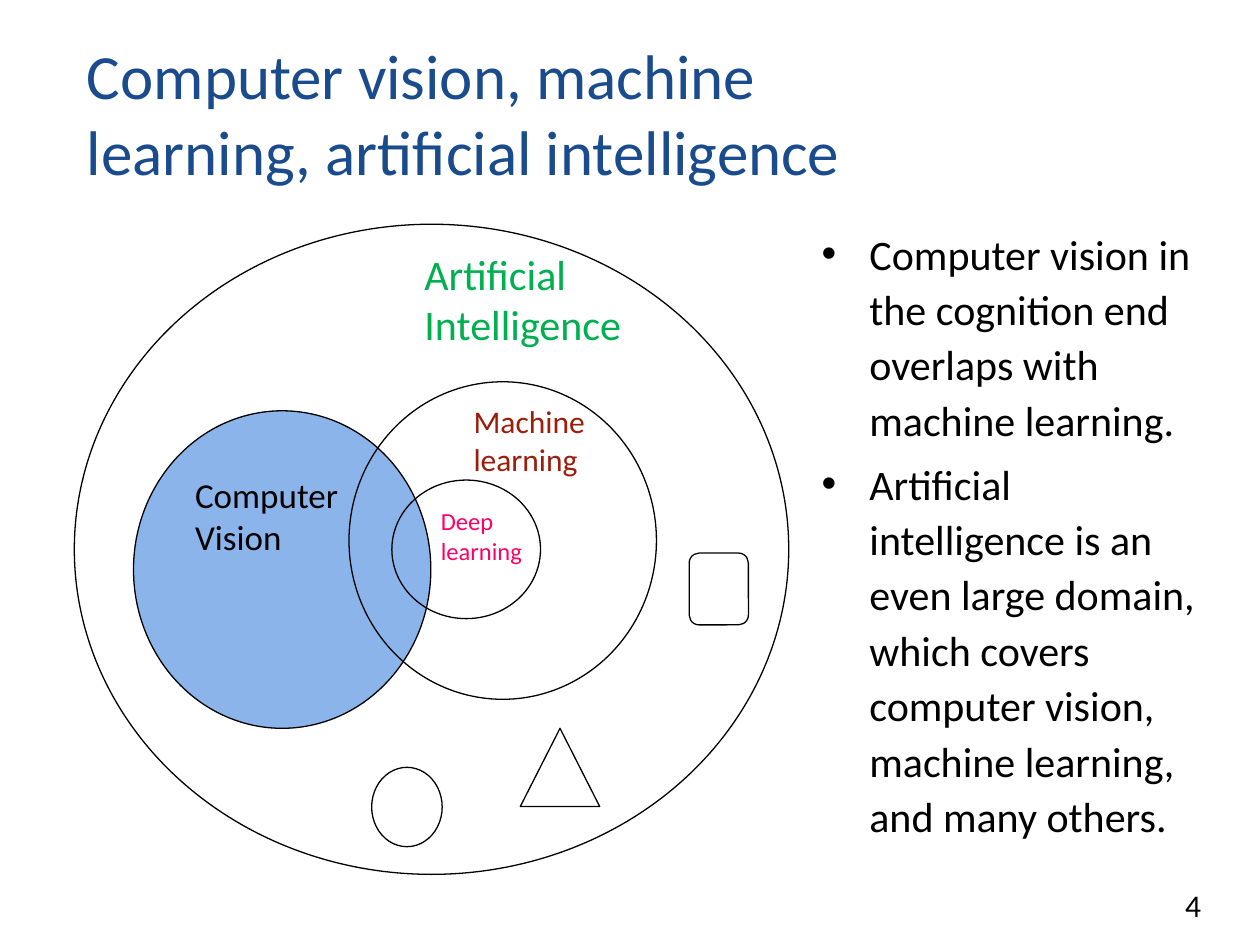
from lxml.etree import SubElement
from pptx import Presentation
from pptx.dml.color import RGBColor
from pptx.enum.shapes import MSO_SHAPE
from pptx.enum.text import MSO_ANCHOR, MSO_AUTO_SIZE, PP_ALIGN
from pptx.oxml.ns import qn
from pptx.util import Inches, Pt

# Boxes are (left, top, width, height) in percent of the slide's size.
TITLE = ("Computer vision, machine learning, artificial intelligence",
         (5.9, 3.87, 65.4, 16.67))
BULLETS = [
    "Computer vision in the cognition end overlaps with machine learning.",
    "Artificial intelligence is an even large domain, which covers "
    "computer vision, machine learning, and many others.",
]
BULLETS_BOX = (64.2, 22.93, 33.1, 66.27)
PAGE_NUMBER = ("4", (88.9, 93.07, 7.4, 6.93))

FIELDS = [  # outline, box, fill
    (MSO_SHAPE.OVAL, (10.6, 43.47, 23.6, 33.6), "vision_fill"),
    (MSO_SHAPE.OVAL, (27.7, 40.4, 24.4, 33.6), None),
    (MSO_SHAPE.OVAL, (31.1, 50.8, 11.8, 14.67), None),
    (MSO_SHAPE.OVAL, (5.9, 23.73, 56.7, 68.8), None),
    (MSO_SHAPE.OVAL, (29.5, 81.2, 5.6, 8.4), None),
    (MSO_SHAPE.ISOSCELES_TRIANGLE, (41.3, 77.07, 6.3, 8.27), None),
    (MSO_SHAPE.ROUNDED_RECTANGLE, (54.7, 58.53, 4.7, 7.6), None),
]
LABELS = [  # text, box, style
    ("Computer Vision", (14.5, 49.47, 15, 10.27), "vision"),
    ("Machine learning", (36.6, 41.87, 11.8, 9.47), "machine"),
    ("Deep learning", (34, 52.93, 11.8, 7.6), "deep"),
    ("Artificial Intelligence", (32.7, 25.6, 26.8, 12.13), "artificial"),
]

THEME = {
    "font": "Calibri",
    "line": "000000",
    "line_width": 0.75,
    "vision_fill": "8AB4EA",
    "text": {  # size, colour
        "title": (36, "194B8D"),
        "body": (24, "000000"),
        "number": (18, "000000"),
        "vision": (20, "000000"),
        "machine": (18, "9B1D0A"),
        "deep": (14, "FF0066"),
        "artificial": (24, "00B050"),
    },
}
WIDTH, HEIGHT = Inches(10), Inches(7.5)
BULLET_INDENT = Inches(0.38)


def set_format(target, values):
    for name, value in values.items():
        setattr(target, name, value)


def place(box):
    sides = zip(box, (WIDTH, HEIGHT, WIDTH, HEIGHT))
    return [round(share * side / 100) for share, side in sides]


def move(shape, box):
    set_format(shape, dict(zip(("left", "top", "width", "height"), place(box))))


def write(paragraph, text, style):
    paragraph.text = text
    size, color = THEME["text"][style]
    set_format(paragraph.font, {"name": THEME["font"], "size": Pt(size)})
    paragraph.font.color.rgb = RGBColor.from_string(color)


def add_bullet(paragraph):
    properties = paragraph._p.get_or_add_pPr()
    properties.set("marL", str(BULLET_INDENT))
    properties.set("indent", str(-BULLET_INDENT))
    SubElement(properties, qn("a:buFont"), typeface="Arial")
    SubElement(properties, qn("a:buChar"), char="•")


def add_text(shapes, text, box, style, alignment=PP_ALIGN.LEFT):
    frame = shapes.add_textbox(*place(box)).text_frame
    frame.word_wrap = True
    write(frame.paragraphs[0], text, style)
    frame.paragraphs[0].alignment = alignment


def add_field(shapes, outline, box, fill):
    shape = shapes.add_shape(outline, *place(box))
    shape.shadow.inherit = False
    shape.line.color.rgb = RGBColor.from_string(THEME["line"])
    shape.line.width = Pt(THEME["line_width"])
    if fill:
        shape.fill.solid()
        shape.fill.fore_color.rgb = RGBColor.from_string(THEME[fill])
    else:
        shape.fill.background()


def fill_title(shape):
    text, box = TITLE
    move(shape, box)
    set_format(shape.text_frame, {"vertical_anchor": MSO_ANCHOR.BOTTOM,
                                  "auto_size": MSO_AUTO_SIZE.NONE})
    paragraph = shape.text_frame.paragraphs[0]
    write(paragraph, text, "title")
    paragraph.alignment = PP_ALIGN.LEFT


def fill_body(shape):
    move(shape, BULLETS_BOX)
    frame = shape.text_frame
    frame.auto_size = MSO_AUTO_SIZE.NONE
    for index, text in enumerate(BULLETS):
        paragraph = frame.add_paragraph() if index else frame.paragraphs[0]
        add_bullet(paragraph)
        write(paragraph, text, "body")
        set_format(paragraph, {"line_spacing": 1.1,
                               "space_before": Pt(4.8 if index else 0)})


def main():
    presentation = Presentation()
    set_format(presentation, {"slide_width": WIDTH, "slide_height": HEIGHT})
    slide = presentation.slides.add_slide(presentation.slide_layouts[1])
    fill_title(slide.shapes.title)
    fill_body(slide.placeholders[1])
    diagram = slide.shapes.add_group_shape().shapes
    for field in FIELDS:
        add_field(diagram, *field)
    for label in LABELS:
        add_text(diagram, *label)
    add_text(slide.shapes, *PAGE_NUMBER, "number", PP_ALIGN.RIGHT)
    presentation.save("out.pptx")


if __name__ == "__main__":
    main()
